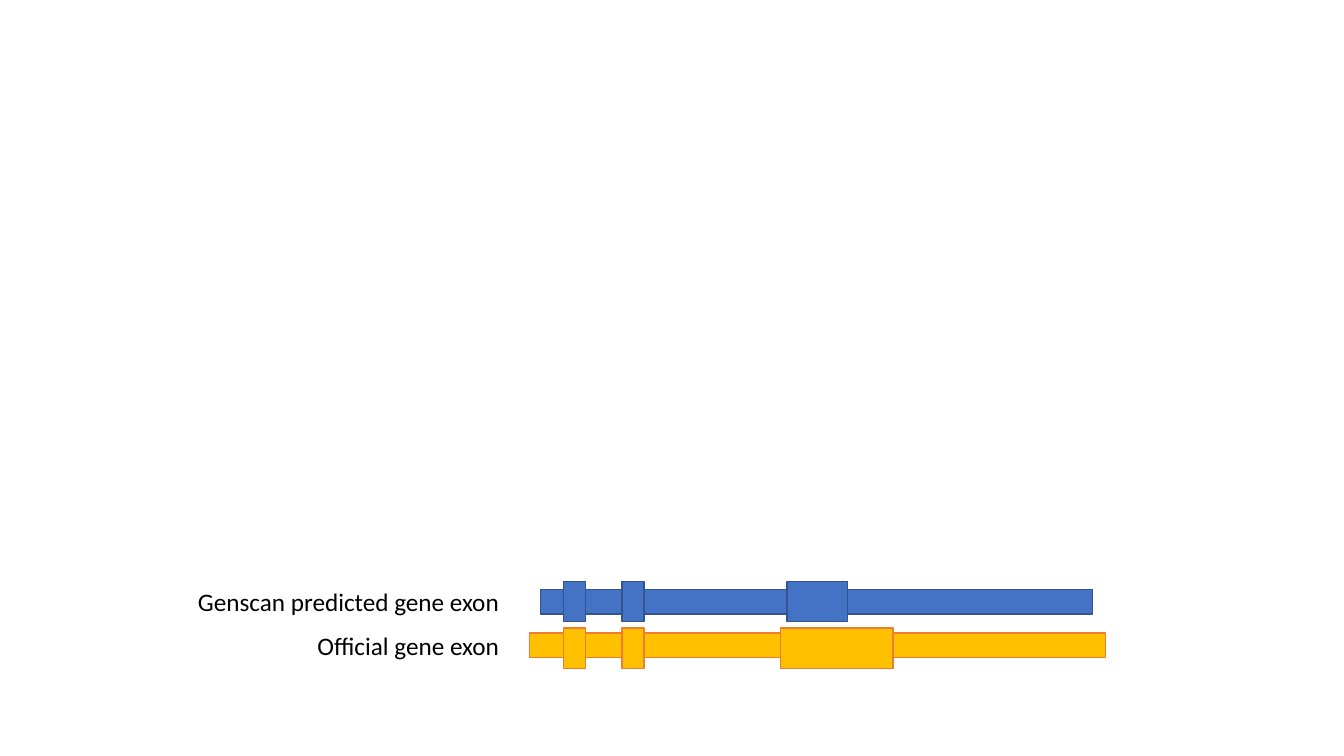
from pptx import Presentation
from pptx.dml.color import RGBColor
from pptx.enum.shapes import MSO_SHAPE
from pptx.enum.text import MSO_AUTO_SIZE, PP_ALIGN
from pptx.util import Pt

BLUE = RGBColor(0x44, 0x72, 0xC4)
DARK_BLUE = RGBColor(0x32, 0x54, 0x91)
GOLD = RGBColor(0xFF, 0xC0, 0x00)
ORANGE = RGBColor(0xED, 0x7D, 0x31)
BLACK = RGBColor(0, 0, 0)

LABEL_RIGHT = 363.6
BAR_HEIGHT = 17.3
EXON_HEIGHT = 28.8
SHARED_EXONS = [(402.5, 15.8), (444.2, 15.8)]

# label, label top, label width, bar (left, top, width), exon top, third exon, fill, line
TRACKS = [
    ("Genscan predicted gene exon", 415.4, 232.6, (385.9, 421.2, 394.6),
     415.2, (562.3, 43.2), BLUE, DARK_BLUE),
    ("Official gene exon", 446.4, 146.2, (378, 452.2, 411.8),
     448.6, (557.3, 80.6), GOLD, ORANGE),
]

presentation = Presentation()
presentation.slide_width = Pt(960)
presentation.slide_height = Pt(540)
slide = presentation.slides.add_slide(presentation.slide_layouts[6])


def add_block(left, top, width, height, fill, line):
    shape = slide.shapes.add_shape(
        MSO_SHAPE.RECTANGLE, Pt(left), Pt(top), Pt(width), Pt(height))
    shape.shadow.inherit = False
    shape.fill.solid()
    shape.fill.fore_color.rgb = fill
    shape.line.color.rgb = line
    shape.line.width = Pt(1)


for label, label_top, label_width, bar, exon_top, third_exon, fill, line in TRACKS:
    add_block(*bar, BAR_HEIGHT, fill, line)
    for left, width in SHARED_EXONS + [third_exon]:
        add_block(left, exon_top, width, EXON_HEIGHT, fill, line)

    text_box = slide.shapes.add_textbox(
        Pt(LABEL_RIGHT - label_width), Pt(label_top), Pt(label_width), Pt(28.8))
    text_frame = text_box.text_frame
    text_frame.word_wrap = False
    text_frame.auto_size = MSO_AUTO_SIZE.SHAPE_TO_FIT_TEXT
    paragraph = text_frame.paragraphs[0]
    paragraph.alignment = PP_ALIGN.RIGHT
    run = paragraph.add_run()
    run.text = label
    for name, value in {"name": "Calibri", "size": Pt(18)}.items():
        setattr(run.font, name, value)
    run.font.color.rgb = BLACK

presentation.save("out.pptx")
